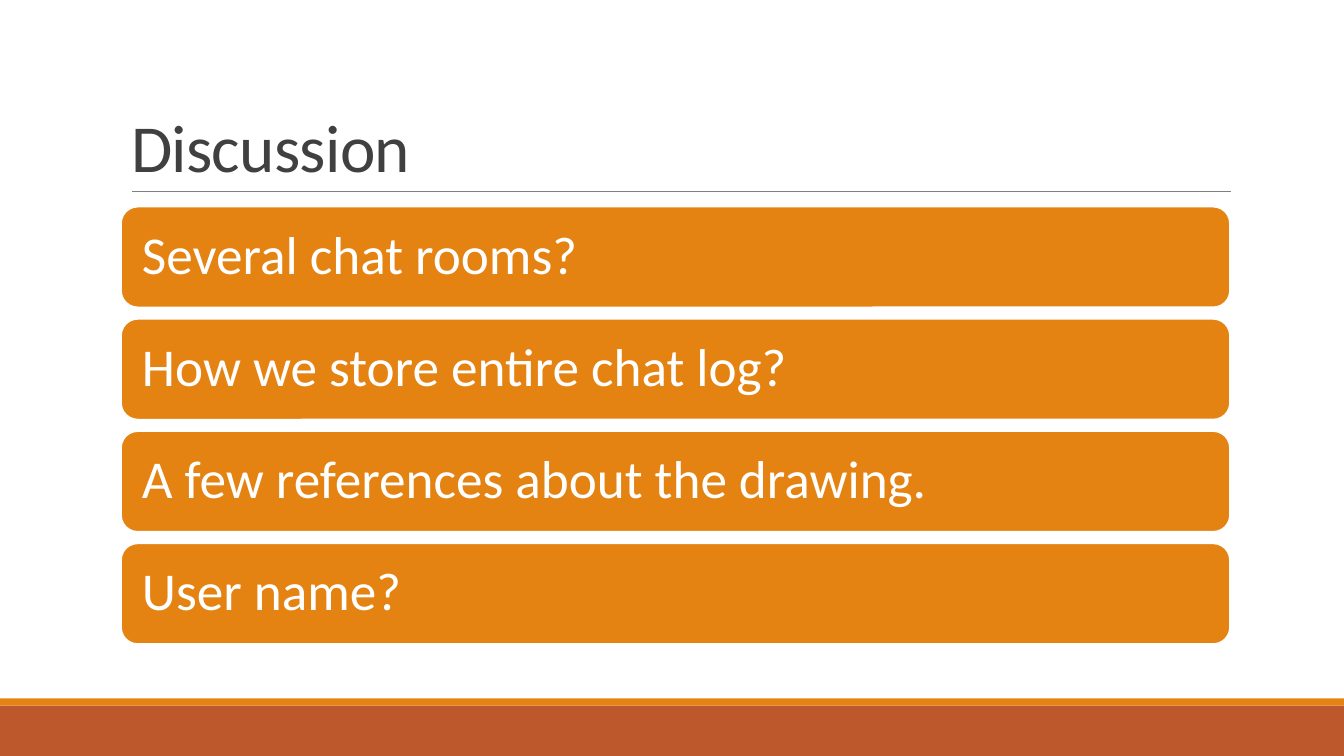
from dataclasses import dataclass

from lxml import etree
from pptx import Presentation
from pptx.dml.color import RGBColor
from pptx.enum.shapes import MSO_CONNECTOR, MSO_SHAPE
from pptx.enum.text import MSO_ANCHOR, PP_ALIGN
from pptx.oxml.ns import qn
from pptx.util import Inches, Pt

RECT, ROUND = MSO_SHAPE.RECTANGLE, MSO_SHAPE.ROUNDED_RECTANGLE
STRAIGHT = MSO_CONNECTOR.STRAIGHT
LEFT = PP_ALIGN.LEFT
MIDDLE, BOTTOM = MSO_ANCHOR.MIDDLE, MSO_ANCHOR.BOTTOM

TITLE = "Discussion"
TOPICS = [
    "Several chat rooms?",
    "How we store entire chat log?",
    "A few references about the drawing.",
    "User name?",
]


@dataclass(frozen=True)
class Theme:
    font: str = "Calibri"
    orange: str = "E48312"
    rust: str = "BD582C"
    ink: str = "404040"
    rule: str = "808080"
    white: str = "FFFFFF"
    title: float = 48
    topic: float = 38


THEME = Theme()
WIDE, HIGH = 13.33, 7.5
MARGIN, SPAN = 1.2, 11
FIRST, LAST, TALL = 2.05, 5.39, 1
STEP = (LAST - FIRST) / (len(TOPICS) - 1)


def color(code):
    return RGBColor.from_string(code)


def add_box(slide, kind, box, fill, line=None):
    shape = slide.shapes.add_shape(kind, *map(Inches, box))
    shape.shadow.inherit = False
    shape.fill.solid()
    shape.fill.fore_color.rgb = color(fill)
    if line:
        shape.line.color.rgb = color(line)
        shape.line.width = Pt(1.25)
    else:
        shape.line.fill.background()
    return shape


def add_text(frame, text, size, ink, anchor, spacing):
    frame.word_wrap = True
    frame.vertical_anchor = anchor
    para = frame.paragraphs[0]
    para.alignment = LEFT
    para.line_spacing = spacing
    run = para.add_run()
    run.text = text
    run.font.name = THEME.font
    run.font.size = Pt(size)
    run.font.color.rgb = color(ink)
    return run


def add_footer(slide):
    add_box(slide, RECT, (0, 7, WIDE, 0.5), THEME.rust)
    add_box(slide, RECT, (0, 6.93, WIDE, 0.07), THEME.orange)


def add_title(slide):
    rule = slide.shapes.add_connector(STRAIGHT, *map(Inches, (1.31, 1.9, 12.21, 1.9)))
    rule.line.color.rgb = color(THEME.rule)
    rule.line.width = Pt(0.5)
    etree.SubElement(rule._element.spPr, qn("a:effectLst"))

    title = slide.shapes.title
    title.left, title.top = Inches(MARGIN), Inches(0.31)
    title.width, title.height = Inches(SPAN), Inches(1.59)
    run = add_text(title.text_frame, TITLE, THEME.title, THEME.ink, BOTTOM, 0.85)
    run._r.get_or_add_rPr().set("spc", "-50")


def add_topics(slide):
    for row, topic in enumerate(TOPICS):
        box = (MARGIN, FIRST + row * STEP, SPAN, TALL)
        card = add_box(slide, ROUND, box, THEME.orange, THEME.white)
        frame = card.text_frame
        frame.margin_left = frame.margin_right = Inches(0.16)
        add_text(frame, topic, THEME.topic, THEME.white, MIDDLE, 0.9)


def main():
    deck = Presentation()
    deck.slide_width, deck.slide_height = Inches(WIDE), Inches(HIGH)
    slide = deck.slides.add_slide(deck.slide_layouts.get_by_name("Title Only"))
    add_footer(slide)
    add_title(slide)
    add_topics(slide)
    deck.save("out.pptx")


if __name__ == "__main__":
    main()
